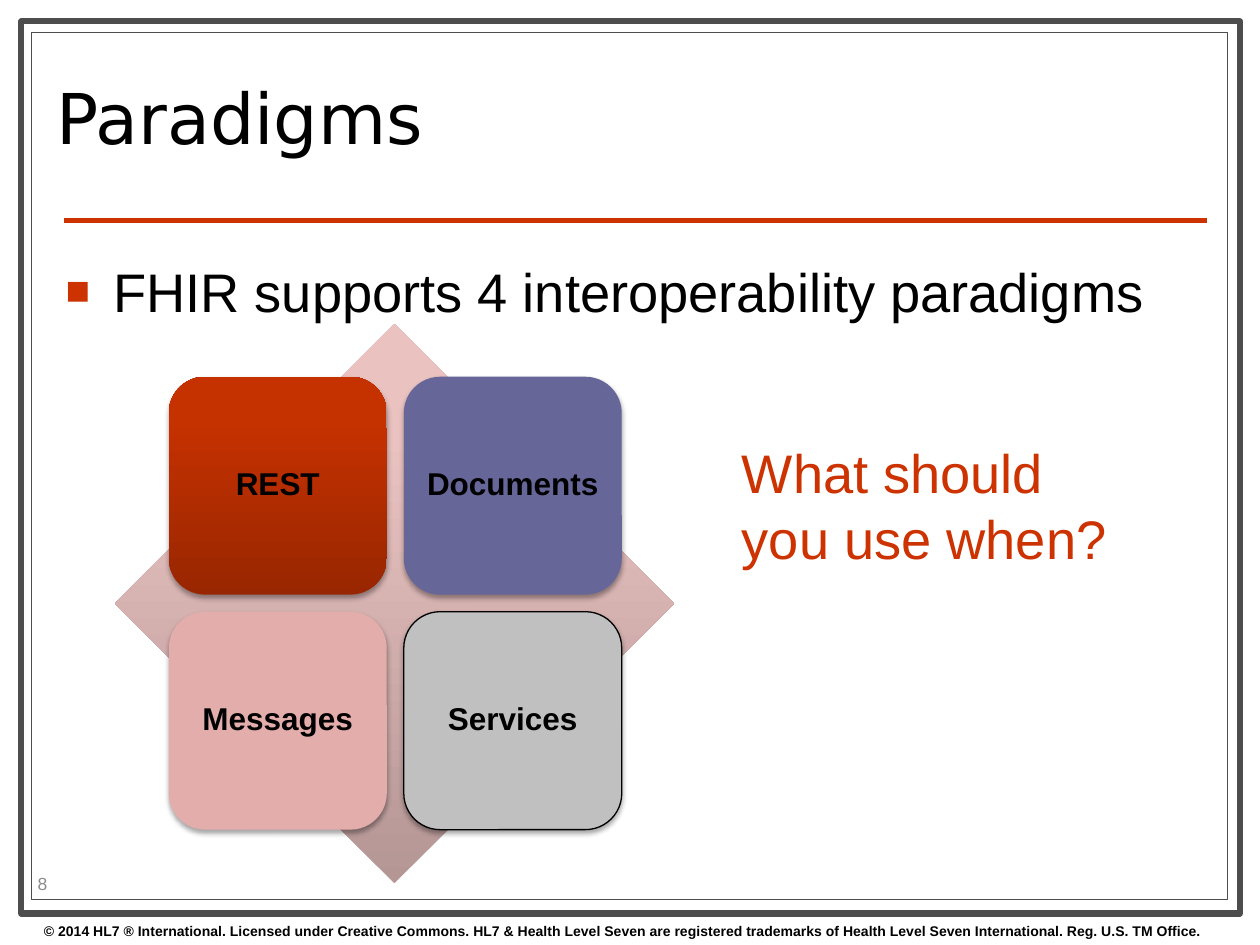
import pptx
import pptx.dml.color
import pptx.enum.shapes
import pptx.enum.text
import pptx.oxml
import pptx.oxml.ns
import pptx.util
from pptx.util import Inches

TITLE = "Paradigms"
STATEMENT = "FHIR supports 4 interoperability paradigms"
QUESTION = "What should you use when?"
PAGE_NUMBER = "8"
COPYRIGHT = (
    "© 2014 HL7 ® International. Licensed under Creative Commons. "
    "HL7 & Health Level Seven are registered trademarks of "
    "Health Level Seven International. Reg. U.S. TM Office."
)
COLORS = {
    "white": "FFFFFF", "black": "000000", "frame": "4D4D4D", "accent": "CC3300",
    "number": "8C8C8C", "violet": "666699", "pink": "E2ADAA", "silver": "C0C0C0",
}
DIAMOND_STOPS = [(0, "B49695"), (80, "EAC3C1"), (100, "ECC3C1")]
REST_STOPS = [(0, "982600"), (80, "C63100"), (100, "C73200")]
PARADIGMS = [
    ("REST", REST_STOPS, None),
    ("Documents", "violet", None),
    ("Messages", "pink", None),
    ("Services", "silver", "black"),
]
FRAMES = [((0.17, 0.17, 9.67, 7.08), 3.5), ((0.25, 0.26, 9.49, 6.88), 0.75)]
DIAMOND_BOX = (0.91, 2.57, 4.44, 4.44)
TILE_LEFT, TILE_TOP, TILE_SIZE, TILE_PITCH = 1.34, 2.99, 1.73, 1.865
SHAPE = pptx.enum.shapes.MSO_SHAPE
ANCHOR = pptx.enum.text.MSO_ANCHOR
ALIGN = pptx.enum.text.PP_ALIGN
NAMESPACE = pptx.oxml.ns.nsdecls("a")


def rgb(name):
    return pptx.dml.color.RGBColor.from_string(COLORS[name])


def place(shape, box):
    shape.left, shape.top, shape.width, shape.height = map(Inches, box)


def write(shape, text, size, color="black", font="Arial", bold=False,
          anchor=ANCHOR.TOP, align=ALIGN.LEFT, spacing=1.0):
    frame = shape.text_frame
    frame.word_wrap = True
    frame.auto_size = pptx.enum.text.MSO_AUTO_SIZE.NONE
    frame.vertical_anchor = anchor
    paragraph = frame.paragraphs[0]
    paragraph.alignment = align
    paragraph.line_spacing = spacing
    paragraph.space_before = pptx.util.Pt(0)
    run = paragraph.add_run()
    run.text = text
    run.font.name = font
    run.font.size = pptx.util.Pt(size)
    run.font.bold = bold
    run.font.color.rgb = rgb(color)
    return paragraph


def add_text(slide, box, text, size, **style):
    shape = slide.shapes.add_textbox(*map(Inches, box))
    write(shape, text, size, **style)


def set_gradient(shape, stops):
    shape.fill.gradient()
    shape.fill.gradient_angle = 90
    stop_list = shape.element.spPr.find(".//" + pptx.oxml.ns.qn("a:gsLst"))
    stop_list.clear()
    for position, color in stops:
        stop_list.append(pptx.oxml.parse_xml(
            f'<a:gs {NAMESPACE} pos="{position * 1000}"><a:srgbClr val="{color}"/></a:gs>'))


def add_shape(slide, kind, box, fill, line=None, width=0.75):
    shape = slide.shapes.add_shape(kind, *map(Inches, box))
    if isinstance(fill, list):
        set_gradient(shape, fill)
    else:
        shape.fill.solid()
        shape.fill.fore_color.rgb = rgb(fill)
    if line:
        shape.line.color.rgb = rgb(line)
        shape.line.width = pptx.util.Pt(width)
    else:
        shape.line.fill.background()
    shape.shadow.inherit = False
    return shape


def add_soft_shadow(shape):
    effects = shape.element.spPr.find(pptx.oxml.ns.qn("a:effectLst"))
    effects.append(pptx.oxml.parse_xml(
        f'<a:outerShdw {NAMESPACE} blurRad="{pptx.util.Pt(3.1)}" dist="{pptx.util.Pt(1.8)}"'
        ' dir="5400000" rotWithShape="0"><a:srgbClr val="000000">'
        '<a:alpha val="35000"/></a:srgbClr></a:outerShdw>'))


def add_frame(slide):
    for box, width in FRAMES:
        add_shape(slide, SHAPE.RECTANGLE, box, "white", "frame", width)
    rule = slide.shapes.add_connector(
        pptx.enum.shapes.MSO_CONNECTOR.STRAIGHT,
        Inches(0.51), Inches(1.75), Inches(9.58), Inches(1.75))
    rule.line.color.rgb = rgb("accent")
    rule.line.width = pptx.util.Pt(3)
    rule.element.spPr.append(pptx.oxml.parse_xml(f"<a:effectLst {NAMESPACE}/>"))
    add_text(slide, (0.25, 7.27, 10, 0.23), COPYRIGHT, 8, bold=True)


def fill_placeholders(slide):
    title, body = slide.placeholders
    for placeholder in (title, body):
        placeholder.element.getparent().append(placeholder.element)
    place(title, (0.35, 0.36, 7.17, 1.26))
    write(title, TITLE, 40, font="DejaVu Sans", anchor=ANCHOR.MIDDLE, spacing=0.8)
    place(body, (0.42, 2, 9.17, 4.9))
    properties = write(body, STATEMENT, 31)._p.get_or_add_pPr()
    properties.set("marL", str(Inches(0.38)))
    properties.set("indent", str(Inches(-0.38)))
    for bullet in (
        f'<a:buClr {NAMESPACE}><a:srgbClr val="{COLORS["accent"]}"/></a:buClr>',
        f'<a:buSzPct {NAMESPACE} val="75000"/>',
        f'<a:buFont {NAMESPACE} typeface="Arial"/>',
        f'<a:buChar {NAMESPACE} char="■"/>',
    ):
        properties.append(pptx.oxml.parse_xml(bullet))


def add_matrix(slide):
    add_shape(slide, SHAPE.DIAMOND, DIAMOND_BOX, DIAMOND_STOPS)
    for index, (label, fill, line) in enumerate(PARADIGMS):
        row, column = divmod(index, 2)
        box = (TILE_LEFT + column * TILE_PITCH, TILE_TOP + row * TILE_PITCH,
               TILE_SIZE, TILE_SIZE)
        tile = add_shape(slide, SHAPE.ROUNDED_RECTANGLE, box, fill, line)
        add_soft_shadow(tile)
        frame = tile.text_frame
        frame.margin_left = frame.margin_right = Inches(0.07)
        frame.margin_top = frame.margin_bottom = Inches(0.07)
        write(tile, label, 18, bold=True, anchor=ANCHOR.MIDDLE,
              align=ALIGN.CENTER, spacing=0.9)


def main():
    presentation = pptx.Presentation()
    presentation.slide_width, presentation.slide_height = Inches(10), Inches(7.5)
    slide = presentation.slides.add_slide(presentation.slide_layouts[1])
    add_frame(slide)
    fill_placeholders(slide)
    add_text(slide, (0.2, 6.89, 0.79, 0.24), PAGE_NUMBER, 10,
             color="number", anchor=ANCHOR.MIDDLE)
    add_matrix(slide)
    add_text(slide, (5.79, 3.44, 3.23, 1.42), QUESTION, 31, color="accent")
    presentation.save("out.pptx")


if __name__ == "__main__":
    main()
